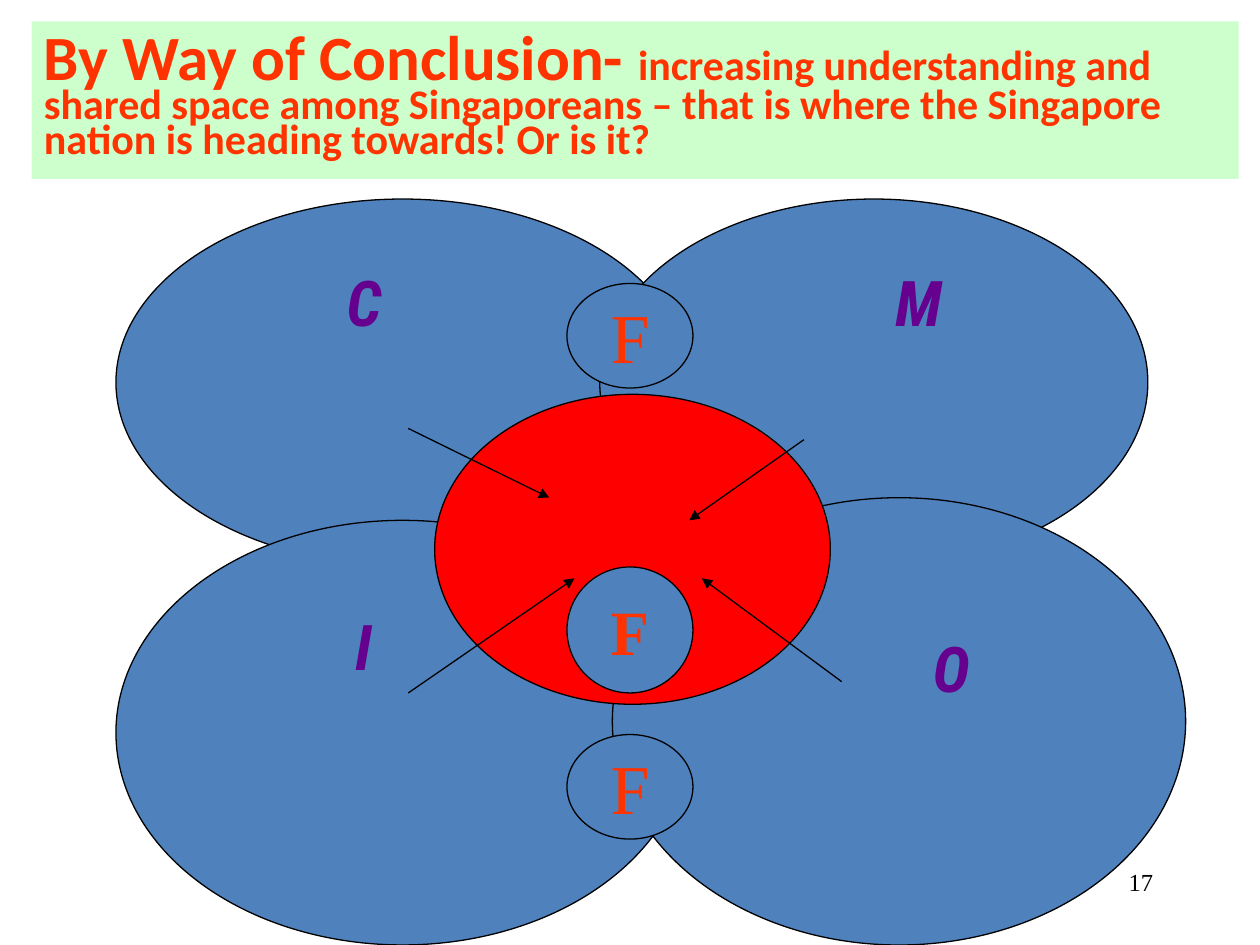
import dataclasses

import lxml.etree
import pptx
import pptx.dml.color
import pptx.enum.shapes
import pptx.enum.text
import pptx.oxml.ns
import pptx.util

Inches = pptx.util.Inches
Align = pptx.enum.text.PP_ALIGN
Anchor = pptx.enum.text.MSO_ANCHOR
qn = pptx.oxml.ns.qn


@dataclasses.dataclass(frozen=True)
class Theme:
    title_fill: str = "CCFFCC"
    accent: str = "FF3300"
    blue: str = "4F81BD"
    red: str = "FF0000"
    purple: str = "66008F"
    black: str = "000000"
    title_font: str = "Calibri"
    letter_font: str = "Roboto Condensed"
    serif_font: str = "Times New Roman"
    heading_size: int = 36
    subtitle_size: int = 24
    letter_size: int = 36
    overlap_size: int = 40
    number_size: int = 14
    line_width: float = 0.75


def rgb(value):
    return pptx.dml.color.RGBColor.from_string(value)


class Painter:
    def __init__(self, page, theme):
        self.page = page
        self.theme = theme

    def style(self, font, name, size, color, bold=False, italic=False):
        font.name = name
        font.size = pptx.util.Pt(size)
        font.color.rgb = rgb(color)
        font.bold = bold
        font.italic = italic

    def outline(self, line):
        line.color.rgb = rgb(self.theme.black)
        line.width = pptx.util.Pt(self.theme.line_width)

    def text(self, place, words, align, wrap=True, **look):
        box = self.page.shapes.add_textbox(*map(Inches, place))
        box.text_frame.word_wrap = wrap
        para = box.text_frame.paragraphs[0]
        para.text = words
        para.alignment = align
        self.style(para.font, **look)

    def title(self, place, heading, subtitle):
        theme = self.theme
        box = self.page.shapes.add_textbox(*map(Inches, place))
        box.fill.solid()
        box.fill.fore_color.rgb = rgb(theme.title_fill)
        box.text_frame.word_wrap = True
        box.text_frame.vertical_anchor = Anchor.MIDDLE
        para = box.text_frame.paragraphs[0]
        para.line_spacing = 0.7
        for words, size in ((heading, theme.heading_size), (subtitle, theme.subtitle_size)):
            span = para.add_run()
            span.text = words
            self.style(span.font, theme.title_font, size, theme.accent, bold=True)

    def ellipse(self, place, fill):
        oval = self.page.shapes.add_shape(
            pptx.enum.shapes.MSO_SHAPE.OVAL, *map(Inches, place))
        oval.shadow.inherit = False
        oval.fill.solid()
        oval.fill.fore_color.rgb = rgb(fill)
        self.outline(oval.line)
        return oval

    def labelled_ellipse(self, place, words, size, bold):
        frame = self.ellipse(place, self.theme.blue).text_frame
        frame.word_wrap = False
        frame.vertical_anchor = Anchor.MIDDLE
        para = frame.paragraphs[0]
        para.text = words
        para.alignment = Align.CENTER
        self.style(para.font, self.theme.serif_font, size, self.theme.accent, bold)

    def arrow(self, start, end):
        line = self.page.shapes.add_connector(
            pptx.enum.shapes.MSO_CONNECTOR.STRAIGHT, *map(Inches, start + end))
        self.outline(line.line)
        lxml.etree.SubElement(line.line._get_or_add_ln(), qn("a:tailEnd"), type="triangle")
        lxml.etree.SubElement(line._element.spPr, qn("a:effectLst"))


def main():
    deck = pptx.Presentation()
    deck.slide_width, deck.slide_height = Inches(10), Inches(7.5)
    theme = Theme()
    painter = Painter(deck.slides.add_slide(deck.slide_layouts[6]), theme)

    # Page number and title
    painter.text((7.17, 6.83, 2.08, 0.5), "17", Align.RIGHT, name=theme.serif_font,
                 size=theme.number_size, color=theme.black)
    painter.title((0.25, 0.17, 9.58, 1.25), "By Way of Conclusion- ",
                  "increasing understanding and shared space among Singaporeans – "
                  "that is where the Singapore nation is heading towards! Or is it?")

    # Four communities around the shared space
    communities = (
        (0.92, 1.58, 4.55, 2.91),
        (4.76, 1.58, 4.35, 2.91),
        (0.92, 4.13, 4.55, 3.37),
        (4.86, 3.95, 4.55, 3.55),
    )
    for place in communities:
        painter.ellipse(place, theme.blue)
    painter.ellipse((3.45, 3.13, 3.14, 2.46), theme.red)

    # Community letters
    letters = (
        ("C", (2.13, 2.04, 1.52, 1.55)),
        ("M", (6.38, 2.04, 1.82, 1.64)),
        ("I", (2.43, 4.77, 0.91, 1.73)),
        ("O", (6.79, 4.95, 1.52, 1.55)),
    )
    for letter, place in letters:
        painter.text(place, letter, Align.CENTER, wrap=False, name=theme.letter_font,
                     size=theme.letter_size, color=theme.purple, bold=True, italic=True)

    # Arrows into the shared space
    arrows = (
        ((3.24, 3.4), (4.36, 3.95)),
        ((3.24, 5.5), (4.56, 4.59)),
        ((6.38, 3.49), (5.47, 4.13)),
        ((6.68, 5.41), (5.57, 4.59)),
    )
    for start, end in arrows:
        painter.arrow(start, end)

    # Overlaps down the middle
    overlaps = (
        (4.5, 1, theme.letter_size, True),
        (2.25, 0.83, theme.overlap_size, False),
        (5.83, 0.83, theme.overlap_size, False),
    )
    for top, height, size, bold in overlaps:
        painter.labelled_ellipse((4.5, top, 1, height), "F", size, bold)

    deck.save("out.pptx")


if __name__ == "__main__":
    main()
